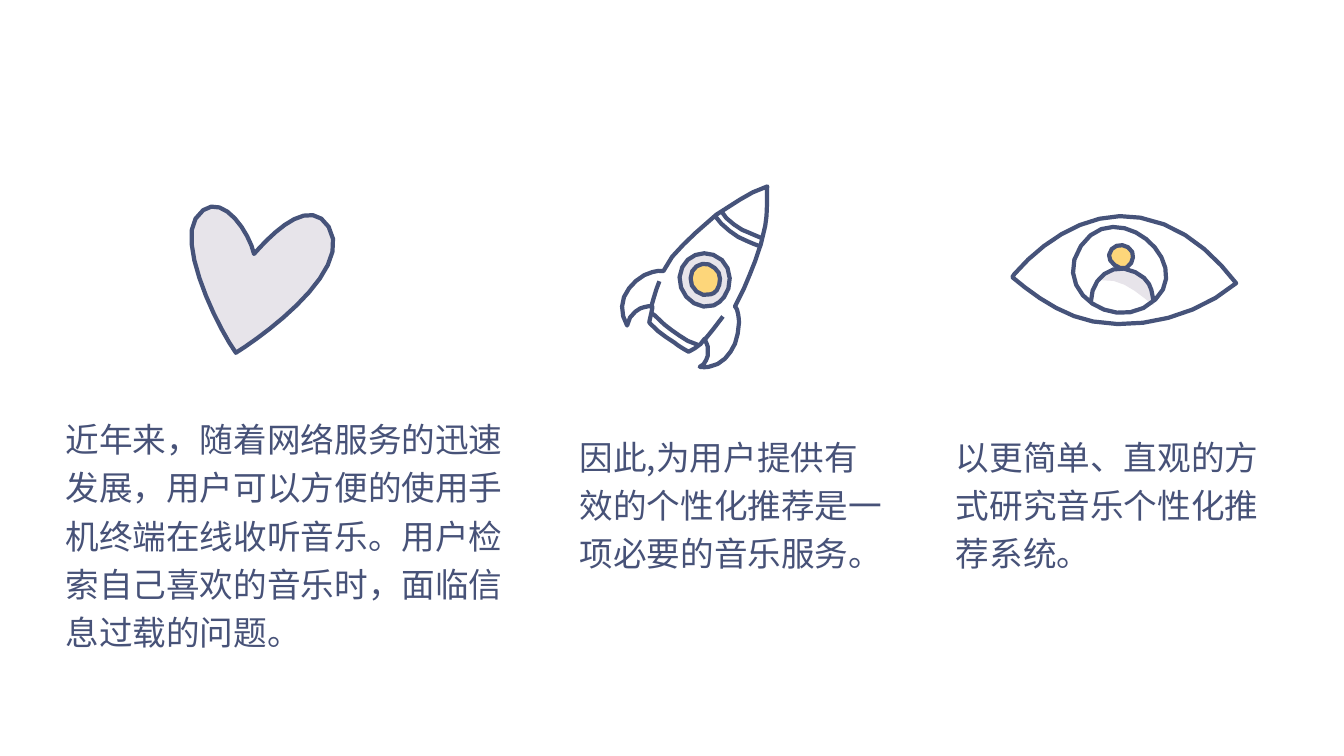
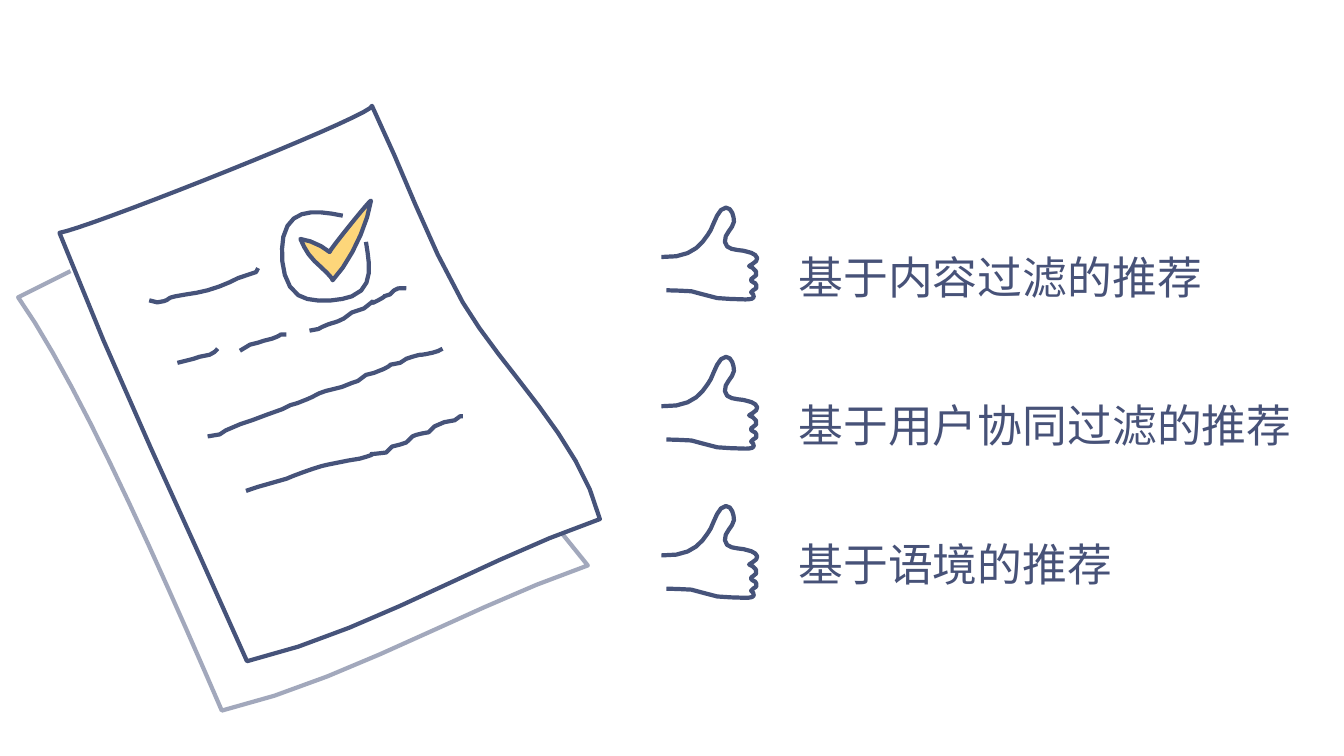
from math import ceil, dist, sqrt

from lxml import etree
from pptx import Presentation
from pptx.dml.color import RGBColor
from pptx.enum.text import MSO_ANCHOR
from pptx.oxml.ns import qn
from pptx.util import Emu, Pt

PX = 9144
MIDDLE = MSO_ANCHOR.MIDDLE
FONT = "Noto Sans CJK JP"
TEXT = "475278"
INK = "46537A"
GREY = "E7E4EA"
YELLOW = "FDD67A"
LINE_HEIGHT = 1.44
THUMB_PITCH = 148

HEART = (
    "326 225 / 352 267 263 332 234 350 / 216 325 177 245 194 217 / "
    "216 183 247 229 252 252 / 267 235 306 193 326 225 Z"
)

PORTHOLE_RIM = (
    "718 295 / 726 285 726 267 716 258 / 700 244 676 253 674 275 / "
    "673 293 691 309 708 303 / 712 301 715 299 718 295 Z"
)
PORTHOLE_GLASS = (
    "711 288 / 715 282 716 271 709 266 / 700 257 685 263 685 276 / "
    "684 286 695 296 705 292 / 707 292 709 290 711 288 Z"
)
ROCKET_BODY = (
    "647 270 / 651 269 655 268 658 269 / 665 253 678 243 690 231 / "
    "703 218 717 207 734 198 / 742 193 751 188 761 185 / "
    "760 185 762 209 759 224 / 756 236 754 248 749 259 / "
    "745 268 742 278 738 286 / 737 288 729 304 729 304 / "
    "732 306 733 317 733 320 / 733 327 731 335 729 341 / "
    "724 352 716 362 703 364 / 700 364 697 365 694 364 / "
    "698 363 701 357 702 353 / 703 350 703 347 702 344 / "
    "702 343 699 337 699 336 / 696 342 689 346 683 349 / "
    "679 347 671 342 669 340 / 663 337 658 332 652 328 / "
    "651 326 645 322 644 320 / 644 318 648 304 647 304 / "
    "644 303 638 305 635 306 / 631 308 623 314 622 323 / "
    "615 311 615 297 624 286 / 628 281 633 276 639 273 / "
    "641 272 644 271 647 270 Z"
)
NOSE_UPPER_BAND = "715 209 / 719 217 728 223 736 228 / 741 230 750 234 755 236"
NOSE_LOWER_BAND = "709 214 / 714 222 724 230 732 235 / 736 237 749 243 753 244"
LEFT_FIN_EDGE = "646 304 / 648 297 651 286 654 279"
RIGHT_FIN_EDGE = "699 337 / 705 329 711 323 717 314"
TAIL_BAND = (
    "645 310 / 650 312 654 318 659 322 / 663 326 669 329 674 333 / "
    "679 337 685 340 692 342"
)
ROCKET = [
    (PORTHOLE_RIM, GREY), (PORTHOLE_GLASS, YELLOW), (ROCKET_BODY, None),
    (NOSE_UPPER_BAND, None), (NOSE_LOWER_BAND, None), (LEFT_FIN_EDGE, None),
    (RIGHT_FIN_EDGE, None), (TAIL_BAND, None),
]

SHOULDER_SHADE = (
    "1127 269 / 1133 272 1138 277 1140 284 / 1141 289 1145 298 1144 303 / "
    "1129 291 1113 276 1093 278 / 1093 273 1104 268 1107 267 / "
    "1114 265 1121 266 1127 269 Z"
)
HEAD = (
    "1118 265 / 1123 262 1125 255 1123 250 / 1118 240 1102 241 1100 253 / "
    "1099 260 1110 268 1116 266 / 1117 266 1117 265 1118 265 Z"
)
SHOULDERS = "1082 299 / 1082 277 1103 258 1126 270 / 1144 279 1142 291 1144 298"
EYELIDS = (
    "1004 275 / 1023 291 1052 313 1084 319 / 1132 328 1188 313 1226 281 / "
    "1203 251 1172 223 1131 216 / 1083 207 1036 237 1006 272 / "
    "1006 272 1004 275 1004 275 Z"
)
IRIS = "1146 297 / 1185 260 1107 192 1072 244 / 1041 290 1109 333 1146 297 Z"
EYE_LINES = [(HEAD, YELLOW), (SHOULDERS, None), (EYELIDS, None), (IRIS, None)]

CHECK_BOX = (
    "340 214 / 315 209 288 205 281 235 / 278 252 279 282 296 293 / "
    "308 301 336 299 349 294 / 372 285 366 260 363 240"
)
CHECK_MARK = (
    "368 199 / 368 197 326 249 327 250 / 320 244 307 238 298 237 / "
    "302 246 305 252 312 259 / 314 261 331 276 330 278 / "
    "347 260 364 225 368 199 Z"
)
FRONT_SHEET = (
    "369 105 / 373 113 89 226 59 231 / 114 373 183 515 245 656 / "
    "365 628 478 555 595 515 / 575 435 499 368 459 300 / "
    "423 238 400 169 369 105 Z"
)
BACK_SHEET = (
    "70 269 / 18 295 / 78 380 159 564 220 705 / "
    "341 677 466 601 583 561 / 558 530"
)
WRITING = [
    "148 298 / 150 299 153 300 156 300 / 171 298 163 296 174 294 / "
    "183 292 196 291 206 288 / 213 286 222 283 228 280 / "
    "236 276 / 248 272 / 254 270 / 256 266",
    "176 360 / 192 356 / 198 354 / 208 352 / 215 348 212 350 216 346",
    "238 348 / 248 342 / 256 340 / 262 338 / 270 336 / "
    "284 331 273 332 284 332",
    "307 328 / 323 325 310 328 325 322 / 333 319 331 321 341 316 / "
    "349 310 / 361 306 / 380 291 360 306 375 298 / "
    "390 290 372 297 387 292 / 391 288 / 395 285 398 286 403 286",
    "206 433 / 218 431 / 224 427 / 238 421 / 250 417 / 266 411 / "
    "280 406 / 288 402 / 295 400 / 305 396 / 313 393 313 391 323 388 / "
    "339 384 / 349 380 / 355 378 / 363 372 / 371 370 / 381 366 / "
    "395 359 378 364 397 360 / 403 356 / 409 354 / "
    "423 350 411 354 429 350 / 434 349 435 348 439 346",
    "244 487 / 256 483 / 284 475 / 293 471 318 462 325 461 / 345 457 / "
    "357 455 / 386 447 350 453 383 449 / 389 443 / 397 441 / 403 439 / "
    "409 433 / 412 431 424 429 425 429 / 431 423 / "
    "437 419 444 418 451 417 / 458 412 455 413 459 413",
]
THUMB = (
    "656 255 / 684 256 694 245 702 233 / 707 228 711 206 720 206 / "
    "726 206 728 215 728 220 / 727 227 718 232 719 240 / "
    "720 250 736 247 742 250 / 744 250 751 253 751 256 / "
    "752 259 746 262 743 264 / 746 265 752 269 750 273 / "
    "749 275 745 276 745 277 / 744 279 747 280 749 281 / "
    "750 282 751 284 750 286 / 747 288 / 745 290 / 747 292 / "
    "751 298 739 297 737 297 / 725 296 712 298 697 292 / "
    "686 287 674 289 661 288"
)

REASONS = [
    (61, 402, 461, 251, "近年来，随着网络服务的迅速发展，用户可以方便的使用手机终端在线收听音乐。"
                        "用户检索自己喜欢的音乐时，面临信息过载的问题。"),
    (571, 420, 313, 154, "因此,为用户提供有效的个性化推荐是一项必要的音乐服务。"),
    (944, 420, 313, 154, "以更简单、直观的方式研究音乐个性化推荐系统。"),
]
METHODS = [
    (233, 482, "基于内容过滤的推荐"),
    (379, 536, "基于用户协同过滤的推荐"),
    (517, 482, "基于语境的推荐"),
]


def color(value):
    return RGBColor.from_string(value)


def curve_points(controls):
    """Sample a cubic curve with only as many steps as its bend needs."""
    bend = max(
        dist((a[0] + c[0], a[1] + c[1]), (2 * b[0], 2 * b[1]))
        for a, b, c in zip(controls, controls[1:], controls[2:])
    )
    steps = max(1, ceil(sqrt(bend)))
    for step in range(1, steps + 1):
        t = step / steps
        weights = ((1 - t) ** 3, 3 * t * (1 - t) ** 2, 3 * t * t * (1 - t), t ** 3)
        yield tuple(
            sum(weight * control[axis] for weight, control in zip(weights, controls))
            for axis in (0, 1)
        )


def outline_points(outline, shift):
    """Turn a start and its line or cubic segments into EMU points."""
    points = []
    for part in outline.split("/"):
        numbers = [int(number) for number in part.split()]
        segment = list(zip(numbers[::2], numbers[1::2]))
        if len(segment) == 1:
            points += segment
        else:
            points += curve_points([points[-1]] + segment)
    return [(x * PX, (y + shift) * PX) for x, y in points]


class Deck:
    """Hold the shared style, the current slide and its current group."""

    def __init__(self):
        self.presentation = Presentation()
        self.presentation.slide_width = Emu(1333 * PX)
        self.presentation.slide_height = Emu(750 * PX)

    def new_slide(self):
        layout = self.presentation.slide_layouts[6]
        self.slide = self.presentation.slides.add_slide(layout)
        self.end_group()

    def begin_group(self):
        self.shapes = self.slide.shapes.add_group_shape().shapes

    def end_group(self):
        self.shapes = self.slide.shapes

    def drawing(self, outline, fill=None, line=INK, shift=0, opacity=None):
        points = outline_points(outline.removesuffix("Z"), shift)
        builder = self.shapes.build_freeform(*points[0], scale=1.0)
        builder.add_line_segments(points[1:], close=outline.endswith("Z"))
        shape = builder.convert_to_shape()
        shape.shadow.inherit = False
        if fill:
            shape.fill.solid()
            shape.fill.fore_color.rgb = color(fill)
        else:
            shape.fill.background()
        if not line:
            shape.line.fill.background()
            return
        shape.line.color.rgb = color(line)
        shape.line.width = Pt(3)
        if opacity:
            line_color = shape.line._ln.find(".//" + qn("a:srgbClr"))
            etree.SubElement(line_color, qn("a:alpha"), val=str(opacity * 1000))

    def text(self, left, top, width, height, content, size):
        box = self.shapes.add_textbox(*(Emu(value * PX) for value in (left, top, width, height)))
        frame = box.text_frame
        frame.word_wrap = True
        frame.vertical_anchor = MIDDLE
        frame.margin_left = frame.margin_right = Emu(4 * PX)
        frame.margin_top = frame.margin_bottom = Emu(4 * PX)
        paragraph = frame.paragraphs[0]
        paragraph.line_spacing = Pt(size * LINE_HEIGHT)
        run = paragraph.add_run()
        run.text = content
        run.font.size = Pt(size)
        run.font.color.rgb = color(TEXT)
        run.font.name = FONT
        etree.SubElement(run._r.get_or_add_rPr(), qn("a:ea"), typeface=FONT)


def build_reasons(deck):
    deck.new_slide()
    deck.begin_group()
    for outline, fill in ROCKET:
        deck.drawing(outline, fill)
    deck.begin_group()
    deck.drawing(SHOULDER_SHADE, GREY, line=None)
    for outline, fill in EYE_LINES:
        deck.drawing(outline, fill)
    deck.end_group()
    deck.drawing(HEART, GREY)
    for left, top, width, height, content in REASONS:
        deck.text(left, top, width, height, content, 24)


def build_methods(deck):
    deck.new_slide()
    deck.begin_group()
    deck.drawing(CHECK_BOX)
    deck.drawing(CHECK_MARK, YELLOW)
    deck.drawing(FRONT_SHEET)
    deck.drawing(BACK_SHEET, opacity=49)
    for stroke in WRITING:
        deck.drawing(stroke)
    deck.begin_group()
    for index, (top, width, content) in enumerate(METHODS):
        deck.drawing(THUMB, shift=index * THUMB_PITCH)
        deck.text(788, top, width, 73, content, 32)


def main():
    deck = Deck()
    build_reasons(deck)
    build_methods(deck)
    deck.presentation.save("out.pptx")


if __name__ == "__main__":
    main()
